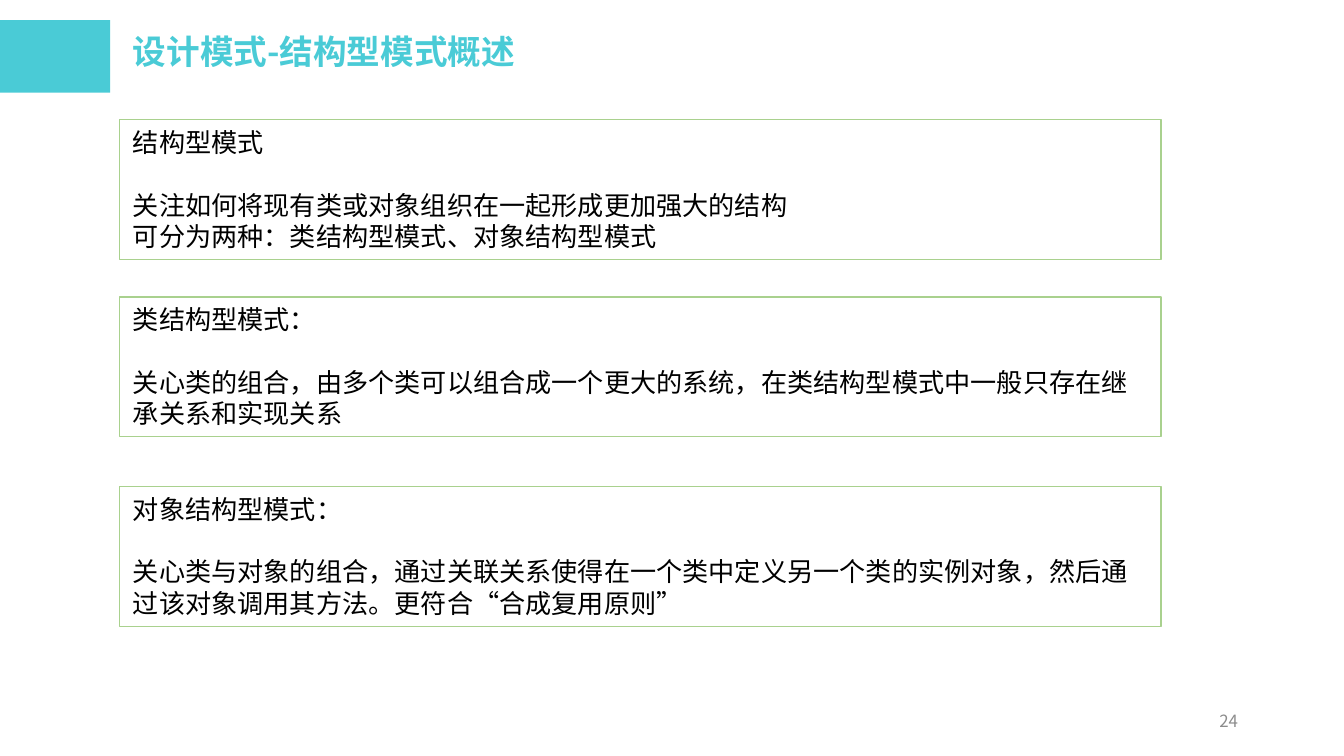
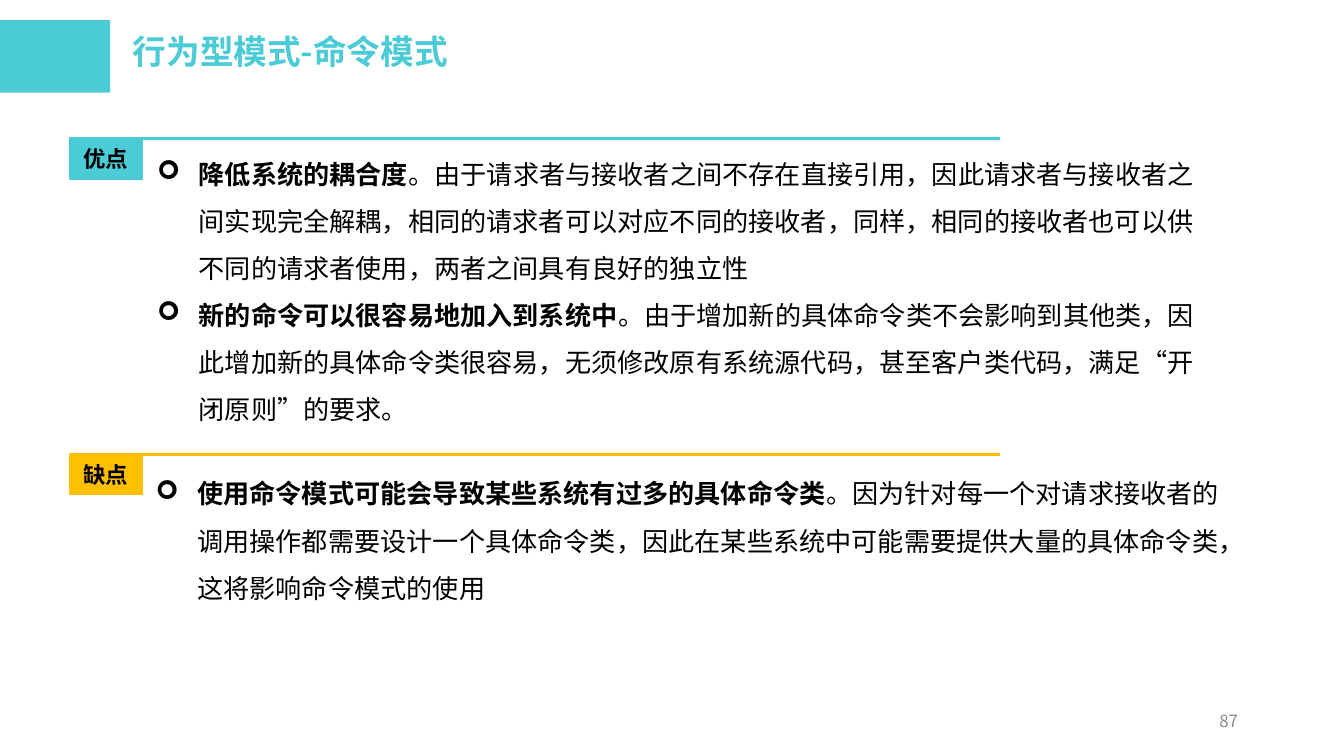
"""Build two slides on structural patterns and the command pattern."""
import pptx
import pptx.dml.color
import pptx.enum.lang
import pptx.enum.shapes
import pptx.enum.text
import pptx.oxml
import pptx.oxml.ns
import pptx.util
from lxml import etree

Inches = pptx.util.Inches
Pt = pptx.util.Pt
rgb = pptx.dml.color.RGBColor.from_string
PP_ALIGN = pptx.enum.text.PP_ALIGN
MSO_ANCHOR = pptx.enum.text.MSO_ANCHOR
MSO_AUTO_SIZE = pptx.enum.text.MSO_AUTO_SIZE
qn = pptx.oxml.ns.qn

FONT = "Noto Sans CJK SC"
TEAL, AMBER, GREEN, GREY, BLACK = "4ACBD6", "FFC000", "A9D18E", "8C8C8C", "000000"


def add_box(s, x, y, w, h, fill=None, line=None, width=1, grow=False, wrap=True):
    """Add a text box, or a rectangle when a fill or line is given."""
    at = [Inches(v) for v in (x, y, w, h)]
    if fill or line:
        sp = s.shapes.add_shape(pptx.enum.shapes.MSO_SHAPE.RECTANGLE, *at)
        sp.shadow.inherit = False
        if fill:
            sp.fill.solid()
            sp.fill.fore_color.rgb = rgb(fill)
        else:
            sp.fill.background()
        if line:
            sp.line.color.rgb = rgb(line)
            sp.line.width = Pt(width)
        else:
            sp.line.fill.background()
    else:
        sp = s.shapes.add_textbox(*at)
    tf = sp.text_frame
    tf.word_wrap = wrap
    tf.vertical_anchor = MSO_ANCHOR.TOP
    tf.auto_size = MSO_AUTO_SIZE.SHAPE_TO_FIT_TEXT if grow else MSO_AUTO_SIZE.NONE
    return tf


def add_text(tf, text, size=14, color=BLACK, bold=False, lead="", align=PP_ALIGN.LEFT,
             spacing=None, before=None, bullet=None):
    """Append a paragraph, with an optional bold lead before the text."""
    p = tf.paragraphs[0] if not tf.paragraphs[0].runs else tf.add_paragraph()
    p.alignment = align
    if spacing:
        p.line_spacing = spacing
    if before:
        p.space_before = Pt(before)
    if bullet:
        pPr = p._p.get_or_add_pPr()
        pPr.set("marL", str(Inches(0.31)))
        pPr.set("indent", str(Inches(-0.31)))
        etree.SubElement(pPr, qn("a:buFont")).set("typeface", "Wingdings")
        etree.SubElement(pPr, qn("a:buChar")).set("char", bullet)
    for part, strong in ((lead, True), (text, bold)):
        if part:
            r = p.add_run()
            r.text = part
            r.font.size = Pt(size)
            r.font.bold = strong
            r.font.color.rgb = rgb(color)
            r.font.name = FONT
            r.font.language_id = pptx.enum.lang.MSO_LANGUAGE_ID.SIMPLIFIED_CHINESE
            etree.SubElement(r._r.get_or_add_rPr(), qn("a:ea")).set("typeface", FONT)


prs = pptx.Presentation()
prs.slide_width = Inches(10)
prs.slide_height = Inches(10 * 9 / 16)

slides = []
for title, number in (("设计模式-结构型模式概述", "24"), ("行为型模式-命令模式", "87")):
    s = prs.slides.add_slide(prs.slide_layouts[6])
    add_box(s, 0, 0.15, 0.82, 0.54, fill=TEAL)
    add_text(add_box(s, 0.89, 0.24, 4.02, 0.46), title, size=18, color=TEAL, bold=True, spacing=0.8)
    tf = add_box(s, 7.06, 5.21, 2.25, 0.3)
    tf.vertical_anchor = MSO_ANCHOR.MIDDLE
    add_text(tf, number, size=9, color=GREY, align=PP_ALIGN.RIGHT)
    slides.append(s)
overview, command = slides

definitions = [
    (0.89, "结构型模式", ["关注如何将现有类或对象组织在一起形成更加强大的结构",
                     "可分为两种：类结构型模式、对象结构型模式"]),
    (2.21, "类结构型模式：", ["关心类的组合，由多个类可以组合成一个更大的系统，在类结构型模式中一般只存在继承关系和实现关系"]),
    (3.62, "对象结构型模式：", ["关心类与对象的组合，通过关联关系使得在一个类中定义另一个类的实例对象，"
                        "然后通过该对象调用其方法。更符合“合成复用原则”"]),
]
for y, heading, lines in definitions:
    tf = add_box(overview, 0.89, y, 7.75, 1.04, line=GREEN, width=0.75, grow=True)
    add_text(tf, heading)
    for i, line in enumerate(lines):
        add_text(tf, line, before=None if i else 16.8)

sections = [
    ("优点", TEAL, 1.03, (1.07, 1.01, 8.02, 2.22), [
        ("降低系统的耦合度",
         "。由于请求者与接收者之间不存在直接引用，因此请求者与接收者之间实现完全解耦，"
         "相同的请求者可以对应不同的接收者，同样，相同的接收者也可以供不同的请求者使用，两者之间具有良好的独立性"),
        ("新的命令可以很容易地加入到系统中",
         "。由于增加新的具体命令类不会影响到其他类，因此增加新的具体命令类很容易，"
         "无须修改原有系统源代码，甚至客户类代码，满足“开闭原则”的要求。"),
    ]),
    ("缺点", AMBER, 3.38, (1.06, 3.39, 8.17, 1.13), [
        ("使用命令模式可能会导致某些系统有过多的具体命令类",
         "。因为针对每一个对请求接收者的调用操作都需要设计一个具体命令类，"
         "因此在某些系统中可能需要提供大量的具体命令类，这将影响命令模式的使用"),
    ]),
]
for label, color, y, area, points in sections:
    tf = add_box(command, *area, grow=True)
    for lead, text in points:
        add_text(tf, text, lead=lead, spacing=1.5, bullet="➢")
    tf = add_box(command, 0.52, y, 0.54, 0.3, fill=color, line=color, grow=True, wrap=False)
    add_text(tf, label, size=12, bold=True)
    rule = command.shapes.add_connector(pptx.enum.shapes.MSO_CONNECTOR.STRAIGHT,
                                        Inches(1.06), Inches(y), Inches(7.44), Inches(y))
    rule.line.color.rgb = rgb(color)
    rule.line.width = Pt(1.5)
    etree.SubElement(rule._element.spPr, qn("a:effectLst"))

prs.save("out.pptx")
